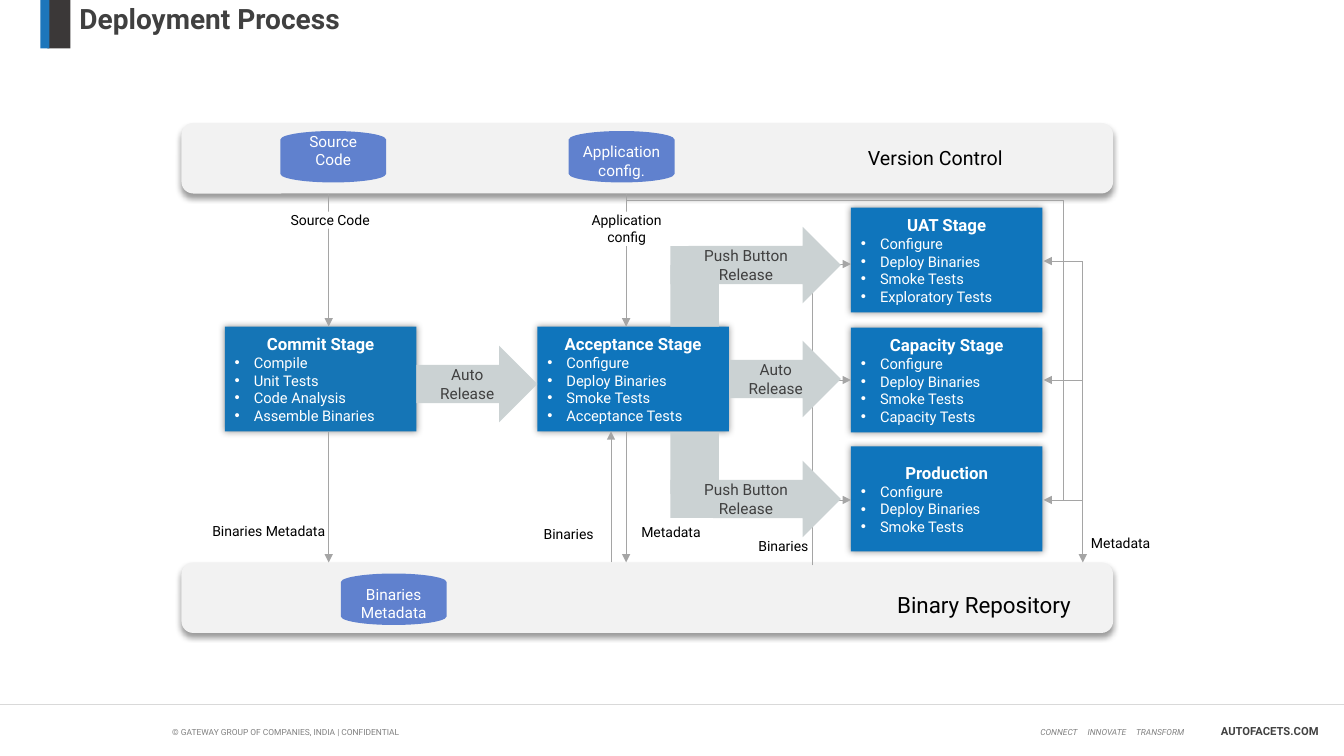
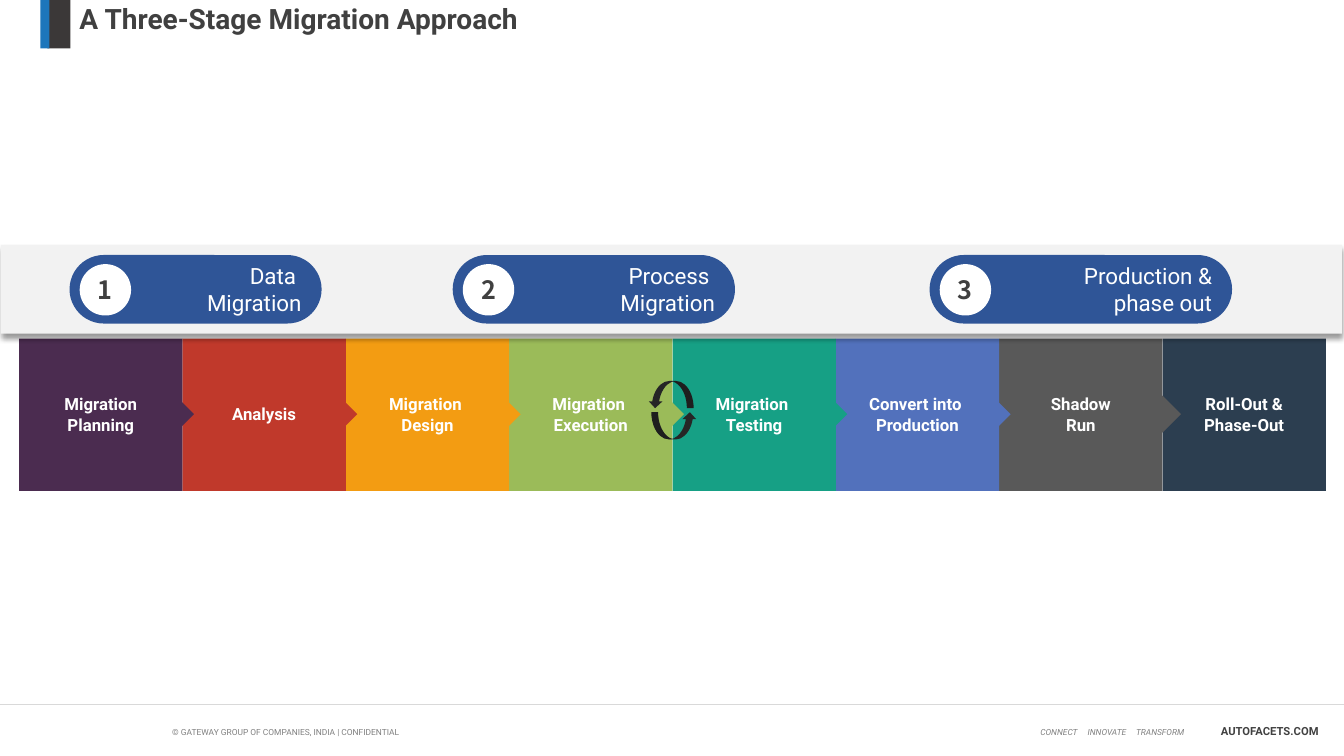
from dataclasses import dataclass
from typing import Optional, Sequence

import lxml.etree
import pptx
import pptx.dml.color
import pptx.enum.shapes
import pptx.enum.text
import pptx.oxml.ns
import pptx.util

Inches = pptx.util.Inches
Pt = pptx.util.Pt
RGBColor = pptx.dml.color.RGBColor
Shape = pptx.enum.shapes.MSO_SHAPE
Align = pptx.enum.text.PP_ALIGN
Anchor = pptx.enum.text.MSO_ANCHOR
qn = pptx.oxml.ns.qn

WHITE = RGBColor(0xFF, 0xFF, 0xFF)
BLACK = RGBColor(0, 0, 0)
BAND_GRAY = RGBColor(0xF2, 0xF2, 0xF2)
RULE_GRAY = RGBColor(0xD9, 0xD9, 0xD9)
FOOTER_GRAY = RGBColor(0x80, 0x80, 0x80)
SITE_GRAY = RGBColor(0x41, 0x41, 0x41)
TEXT_GRAY = RGBColor(0x40, 0x40, 0x40)
LINE_GRAY = RGBColor(0xA5, 0xA5, 0xA5)
ARROW_GRAY = RGBColor(0xCB, 0xD2, 0xD3)
TAB_DARK = RGBColor(0x3B, 0x38, 0x38)
TAB_BLUE = RGBColor(0x1D, 0x76, 0xBB)
STAGE_BLUE = RGBColor(0x0F, 0x75, 0xBC)
COMMIT_BLUE = RGBColor(0x15, 0x75, 0xB6)
DISK_BLUE = RGBColor(0x60, 0x81, 0xCE)
PILL_BLUE = RGBColor(0x2F, 0x55, 0x97)
CYCLE_BLACK = RGBColor(0x26, 0x26, 0x26)
PLUM = RGBColor(0x4B, 0x2C, 0x50)
RED = RGBColor(0xC0, 0x39, 0x2B)
ORANGE = RGBColor(0xF3, 0x9C, 0x12)
GREEN = RGBColor(0x9B, 0xBB, 0x59)
TEAL = RGBColor(0x16, 0xA0, 0x85)
INDIGO = RGBColor(0x52, 0x71, 0xBC)
SLATE = RGBColor(0x59, 0x59, 0x59)
NAVY = RGBColor(0x2C, 0x3E, 0x50)


@dataclass(frozen=True)
class Box:
    left: float
    top: float
    width: float
    height: float


@dataclass(frozen=True)
class Style:
    size: float
    color: RGBColor
    bold: bool = False
    italic: bool = False
    font: str = "Roboto"


@dataclass(frozen=True)
class Shadow:
    blur: float
    distance: float
    direction: int


@dataclass(frozen=True)
class Stage:
    left: float
    top: float
    title: str
    tasks: Sequence[str]
    fill: RGBColor = STAGE_BLUE


@dataclass(frozen=True)
class Label:
    text: str
    box: Box
    fill: Optional[RGBColor] = None
    margin: float = 0.05


@dataclass(frozen=True)
class Step:
    text: str
    fill: RGBColor
    label_width: float = 1.3
    tip_offset: float = 1.42


@dataclass(frozen=True)
class Phase:
    text: str
    left: float
    width: float


BAND_SHADOW = Shadow(4, 3, 90)
STAGE_SHADOW = Shadow(5, 0, 0)
TITLE = Style(20, TEXT_GRAY, bold=True)
STAGE_TITLE = Style(12, WHITE, bold=True)
STAGE_TASK = Style(10.5, WHITE)
DISK_TEXT = Style(11, WHITE)
ARROW_TEXT = Style(11, TEXT_GRAY)
LABEL_TEXT = Style(10, BLACK)
STAGE_WIDTH, STAGE_HEIGHT = 1.9, 1.04

STAGES = [
    Stage(8.44, 2.06, "UAT Stage", ["Configure", "Deploy Binaries", "Smoke Tests", "Exploratory Tests"]),
    Stage(8.44, 3.25, "Capacity Stage", ["Configure", "Deploy Binaries", "Smoke Tests", "Capacity Tests"]),
    Stage(8.44, 4.43, "Production", ["Configure", "Deploy Binaries", "Smoke Tests"]),
    Stage(5.33, 3.24, "Acceptance Stage", ["Configure", "Deploy Binaries", "Smoke Tests", "Acceptance Tests"]),
    Stage(2.23, 3.24, "Commit Stage", ["Compile", "Unit Tests", "Code Analysis", "Assemble Binaries"], COMMIT_BLUE),
]
DISKS = [
    ("Binaries Metadata", 3.38, 5.69, Anchor.MIDDLE),
    ("Source Code", 2.78, 1.3, Anchor.BOTTOM),
    ("Application config.", 5.64, 1.3, Anchor.MIDDLE),
]
FLOWS = [
    (3.26, 1.92, 3.24), (3.26, 4.29, 5.58), (6.21, 1.92, 3.24),
    (6.21, 4.29, 5.58), (6.06, 5.58, 4.28), (10.74, 2.59, 5.58),
]
RELEASE_ARROWS = [
    ("Auto\nRelease", Box(7.24, 3.38, 1.1, 0.76)),
    ("Push Button Release", Box(6.65, 2.25, 1.69, 0.76)),
    ("Push Button Release", Box(6.65, 4.57, 1.69, 0.76)),
    ("Auto\nRelease", Box(4.13, 3.43, 1.2, 0.76)),
]
LABELS = [
    Label("Source Code", Box(2.76, 2.1, 1.03, 0.17), WHITE, 0),
    Label("Application config", Box(5.6, 2.1, 1.23, 0.34), WHITE, 0),
    Label("Binaries Metadata", Box(1.92, 5.13, 1.49, 0.27)),
    Label("Binaries", Box(5.28, 5.16, 0.72, 0.27), WHITE),
    Label("Metadata", Box(6.24, 5.14, 0.83, 0.27), WHITE),
    Label("Binaries", Box(7.41, 5.28, 0.72, 0.27)),
    Label("Metadata", Box(10.7, 5.25, 0.83, 0.27)),
]
STEPS = [
    Step("Migration Planning", PLUM),
    Step("Analysis", RED),
    Step("Migration \nDesign", ORANGE),
    Step("Migration \nExecution", GREEN),
    Step("Migration \nTesting", TEAL),
    Step("Convert into \nProduction", INDIGO),
    Step("Shadow Run", SLATE, 1.07, 1.49),
    Step("Roll-Out & Phase-Out", NAVY),
]
PHASES = [
    Phase("Data \nMigration", 0.69, 2.5),
    Phase("Process \nMigration", 4.49, 2.8),
    Phase("Production &\nphase out", 9.22, 3),
]


def place(box: Box) -> list:
    return [Inches(value) for value in (box.left, box.top, box.width, box.height)]


def format_runs(paragraph, style: Style) -> None:
    for run in paragraph.runs:
        font = run.font
        font.name, font.size, font.color.rgb = style.font, Pt(style.size), style.color
        font.bold, font.italic = style.bold, style.italic


def write(shape, text: str, style: Style, align=Align.LEFT, anchor=Anchor.TOP,
          wrap: bool = True, margin: float = 0.05):
    frame = shape.text_frame
    frame.word_wrap, frame.vertical_anchor = wrap, anchor
    frame.margin_top = frame.margin_bottom = Inches(margin)
    frame.text = text
    for paragraph in frame.paragraphs:
        paragraph.alignment = align
        format_runs(paragraph, style)
    return shape


def add_text(slide, box: Box, text: str, style: Style, **options):
    return write(slide.shapes.add_textbox(*place(box)), text, style, **options)


def add_block(slide, kind, box: Box, fill: RGBColor, shadow: Optional[Shadow] = None):
    shape = slide.shapes.add_shape(kind, *place(box))
    shape.fill.solid()
    shape.fill.fore_color.rgb = fill
    shape.line.fill.background()
    shape.shadow.inherit = False
    if shadow:
        effects = shape.element.spPr.find(qn("a:effectLst"))
        outer = lxml.etree.SubElement(
            effects, qn("a:outerShdw"), blurRad=str(Pt(shadow.blur)), dist=str(Pt(shadow.distance)),
            dir=str(shadow.direction * 60000), algn="ctr", rotWithShape="0")
        color = lxml.etree.SubElement(outer, qn("a:srgbClr"), val=str(BLACK))
        lxml.etree.SubElement(color, qn("a:alpha"), val="40000")
    return shape


def add_line(slide, start: tuple, end: tuple, color: RGBColor = LINE_GRAY, arrow: bool = True) -> None:
    connector = slide.shapes.add_connector(
        pptx.enum.shapes.MSO_CONNECTOR.STRAIGHT, *[Inches(value) for value in start + end])
    connector.line.color.rgb = color
    connector.line.width = Pt(0.5)
    if arrow:
        lxml.etree.SubElement(connector.line._get_or_add_ln(), qn("a:tailEnd"), type="triangle")
    lxml.etree.SubElement(connector.element.spPr, qn("a:effectLst"))


def add_frame(presentation, title: str):
    slide = presentation.slides.add_slide(presentation.slide_layouts[6])
    add_text(slide, Box(1.61, 7.16, 3.69, 0.2), "© GATEWAY GROUP OF COMPANIES, INDIA | CONFIDENTIAL",
             Style(6, FOOTER_GRAY))
    motto = add_text(slide, Box(10.22, 7.16, 1.94, 0.2), "CONNECT\tINNOVATE\tTRANSFORM",
                     Style(6, FOOTER_GRAY, italic=True))
    properties = motto.text_frame.paragraphs[0]._p.get_or_add_pPr()
    tabs = lxml.etree.SubElement(properties, qn("a:tabLst"))
    for position in (0.47, 0.95):
        lxml.etree.SubElement(tabs, qn("a:tab"), pos=str(Inches(position)), algn="l")
    add_line(slide, (0, 6.99), (13.33, 6.99), RULE_GRAY, arrow=False)
    add_text(slide, Box(12.01, 7.14, 1.22, 0.24), "AUTOFACETS.COM", Style(8, SITE_GRAY, bold=True), wrap=False)
    add_block(slide, Shape.RECTANGLE, Box(0.47, 0, 0.23, 0.48), TAB_DARK)
    add_block(slide, Shape.RECTANGLE, Box(0.4, 0, 0.09, 0.48), TAB_BLUE)
    heading = add_text(slide, Box(0.69, 0, 12.64, 0.48), title, TITLE)
    heading.text_frame.paragraphs[0].line_spacing = 0.9
    return slide


def add_stage(slide, stage: Stage) -> None:
    shape = add_block(slide, Shape.RECTANGLE, Box(stage.left, stage.top, STAGE_WIDTH, STAGE_HEIGHT),
                      stage.fill, STAGE_SHADOW)
    write(shape, "\n".join([stage.title, *stage.tasks]), STAGE_TITLE, anchor=Anchor.MIDDLE)
    heading, *tasks = shape.text_frame.paragraphs
    heading.alignment = Align.CENTER
    for paragraph in tasks:
        properties = paragraph._p.get_or_add_pPr()
        properties.set("marL", str(Inches(0.19)))
        properties.set("indent", str(-Inches(0.19)))
        lxml.etree.SubElement(properties, qn("a:buFont"), typeface="Arial")
        lxml.etree.SubElement(properties, qn("a:buChar"), char="•")
        format_runs(paragraph, STAGE_TASK)


def build_deployment(presentation) -> None:
    slide = add_frame(presentation, "Deployment Process")
    for top in (5.58, 1.22):
        add_block(slide, Shape.ROUNDED_RECTANGLE, Box(1.8, top, 9.24, 0.7), BAND_GRAY, BAND_SHADOW)
    for stage in STAGES:
        add_stage(slide, stage)
    for text, left, top, anchor in DISKS:
        disk = add_block(slide, Shape.FLOWCHART_MAGNETIC_DISK, Box(left, top, 1.05, 0.51), DISK_BLUE)
        write(disk, text, DISK_TEXT, Align.CENTER, anchor)
    for top in (2.63, 4.29):
        add_block(slide, Shape.RECTANGLE, Box(6.65, top, 0.48, 0.61), ARROW_GRAY)
    for x, start, end in FLOWS:
        add_line(slide, (x, start), (x, end))
    for start, end in [((8.06, 5.61), (8.06, 2.62)), ((6.21, 1.99), (10.55, 1.99)),
                       ((10.55, 1.99), (10.55, 4.96))]:
        add_line(slide, start, end, arrow=False)
    for binaries_y, metadata_y in [(2.62, 2.59), (3.77, 3.77), (4.96, 4.96)]:
        add_line(slide, (8.06, binaries_y), (8.44, binaries_y))
        add_line(slide, (10.74, metadata_y), (10.35, metadata_y))
    for text, box in RELEASE_ARROWS:
        arrow = add_block(slide, Shape.RIGHT_ARROW, box, ARROW_GRAY)
        write(arrow, text, ARROW_TEXT, Align.CENTER, Anchor.MIDDLE)
    add_text(slide, Box(8.51, 1.4, 1.64, 0.34), "Version Control", Style(14, BLACK))
    add_text(slide, Box(8.8, 5.82, 1.96, 0.37), "Binary Repository", Style(16, BLACK))
    for label in LABELS:
        shape = (add_block(slide, Shape.RECTANGLE, label.box, label.fill) if label.fill is not None
                 else slide.shapes.add_textbox(*place(label.box)))
        write(shape, label.text, LABEL_TEXT, Align.CENTER, margin=label.margin)


def build_migration(presentation) -> None:
    slide = add_frame(presentation, "A Three-Stage Migration Approach")
    width = 1.62
    placed_steps = [(0.19 + index * width, step) for index, step in enumerate(STEPS)]
    for left, step in reversed(placed_steps):
        add_block(slide, Shape.RECTANGLE, Box(left, 3.36, width, 1.51), step.fill)
        if step is not STEPS[-1]:
            tip = add_block(slide, Shape.RECTANGLE, Box(left + step.tip_offset, 3.98, 0.26, 0.26), step.fill)
            tip.rotation = 45
    for left, step in placed_steps:
        label_left = left + (width - step.label_width) / 2
        add_text(slide, Box(label_left, 3.86, step.label_width, 0.5), step.text, STAGE_TITLE,
                 align=Align.CENTER, anchor=Anchor.MIDDLE)
    for left, top, flip in [(6.43, 3.78, "flipH"), (6.46, 4.09, "flipV")]:
        arrow = add_block(slide, Shape.CURVED_DOWN_ARROW, Box(left, top, 0.45, 0.27), CYCLE_BLACK)
        arrow.element.spPr.find(qn("a:xfrm")).set(flip, "1")
    add_block(slide, Shape.RECTANGLE, Box(0.01, 2.43, 13.3, 0.88), BAND_GRAY, BAND_SHADOW)
    for number, phase in enumerate(PHASES, 1):
        pill = add_block(slide, Shape.ROUNDED_RECTANGLE, Box(phase.left, 2.53, phase.width, 0.68), PILL_BLUE)
        pill.adjustments[0] = 0.5
        write(pill, phase.text, Style(16, WHITE), Align.RIGHT, Anchor.MIDDLE)
        badge = add_block(slide, Shape.OVAL, Box(phase.left + 0.1, 2.62, 0.51, 0.51), WHITE)
        write(badge, str(number), Style(18, TEXT_GRAY, bold=True, font="Noto Sans CJK SC"),
              Align.CENTER, Anchor.MIDDLE)


def main() -> None:
    presentation = pptx.Presentation()
    presentation.slide_width, presentation.slide_height = Inches(13.33), Inches(7.5)
    build_deployment(presentation)
    build_migration(presentation)
    presentation.save("out.pptx")


if __name__ == "__main__":
    main()
